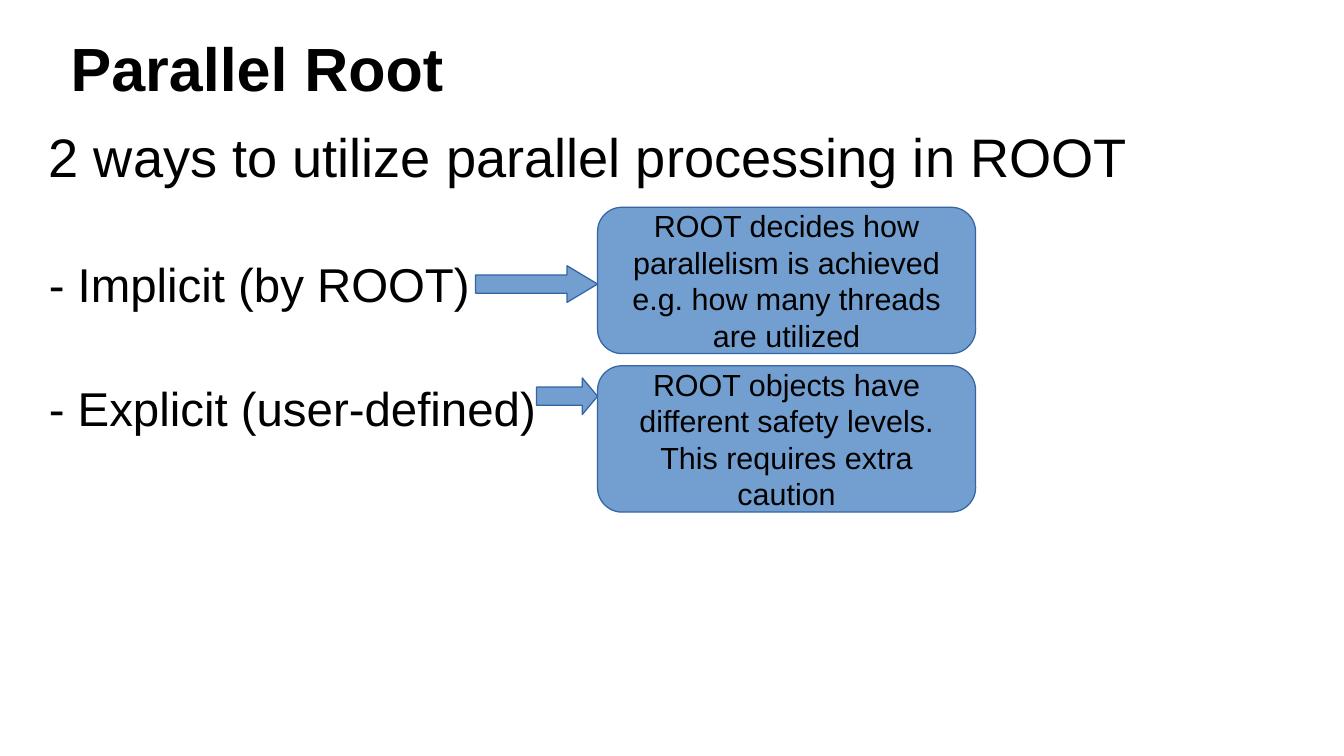
from dataclasses import dataclass
from pptx import Presentation
from pptx.dml.color import RGBColor
from pptx.enum.shapes import MSO_SHAPE
from pptx.enum.text import MSO_ANCHOR, PP_ALIGN
from pptx.util import Inches, Pt


@dataclass(frozen=True)
class Theme:
    """Colours and type sizes of the slide."""
    font: str = "Arial"
    ink: RGBColor = RGBColor(0, 0, 0)
    fill: RGBColor = RGBColor(0x72, 0x9F, 0xCF)
    edge: RGBColor = RGBColor(0x34, 0x65, 0xA4)
    title: int = 36
    head: int = 32
    item: int = 28
    note: int = 18
    gap: float = 39.5


THEME = Theme()


def style(para, size, bold=False):
    """Format every run of a paragraph."""
    for run in para.runs:
        run.font.name = THEME.font
        run.font.size = Pt(size)
        run.font.bold = bold
        run.font.color.rgb = THEME.ink


def add_text(slide, box, anchor):
    """Add a text box without margins and return its frame."""
    frame = slide.shapes.add_textbox(*map(Inches, box)).text_frame
    frame.word_wrap = True
    frame.vertical_anchor = anchor
    frame.margin_left = frame.margin_right = 0
    frame.margin_top = frame.margin_bottom = 0
    return frame


def add_title(slide, box, text):
    """Place the slide title."""
    frame = add_text(slide, box, MSO_ANCHOR.MIDDLE)
    frame.text = text
    para = frame.paragraphs[0]
    para.line_spacing = 0.9
    style(para, THEME.title, True)


def add_body(slide, box, head, items):
    """Place the heading line and the evenly spaced items below it."""
    frame = add_text(slide, box, MSO_ANCHOR.TOP)
    frame.text = head
    style(frame.paragraphs[0], THEME.head)
    for item in items:
        para = frame.add_paragraph()
        para.text = item
        para.space_before = Pt(THEME.gap)
        style(para, THEME.item)


def add_block(slide, kind, box):
    """Add a filled and outlined preset shape."""
    shape = slide.shapes.add_shape(kind, *map(Inches, box))
    shape.shadow.inherit = False
    shape.fill.solid()
    shape.fill.fore_color.rgb = THEME.fill
    shape.line.color.rgb = THEME.edge
    shape.line.width = Pt(0)
    return shape


def add_note(slide, box, text, reach, drop):
    """Place a rounded note and the arrow that leads to its left edge."""
    left, top, _, _ = box
    thick = 0.3
    note = add_block(slide, MSO_SHAPE.ROUNDED_RECTANGLE, box)
    frame = note.text_frame
    frame.word_wrap = True
    frame.vertical_anchor = MSO_ANCHOR.MIDDLE
    frame.text = text
    para = frame.paragraphs[0]
    para.alignment = PP_ALIGN.CENTER
    style(para, THEME.note)
    arrow = add_block(slide, MSO_SHAPE.RIGHT_ARROW,
                      (left - reach, top + drop, reach, thick))
    arrow.adjustments[1] = reach / thick / 4


def main():
    """Build and save the slide."""
    deck = Presentation()
    deck.slide_width, deck.slide_height = Inches(11.02), Inches(6.2)
    slide = deck.slides.add_slide(deck.slide_layouts[6])
    add_title(slide, (0.58, 0.07, 9.92, 1.04), "Parallel Root")
    add_body(slide, (0.4, 1.01, 9.92, 3.79),
             "2 ways to utilize parallel processing in ROOT",
             ["- Implicit (by ROOT)", "- Explicit (user-defined)"])
    notes = [
        ("ROOT decides how parallelism is achieved "
         "e.g. how many threads are utilized", 1, 0.48),
        ("ROOT objects have different safety levels. "
         "This requires extra caution", 0.5, 0.1),
    ]
    for row, (text, reach, drop) in enumerate(notes):
        add_note(slide, (4.9, 1.7 + 1.3 * row, 3.1, 1.2), text, reach, drop)
    deck.save("out.pptx")


if __name__ == "__main__":
    main()
